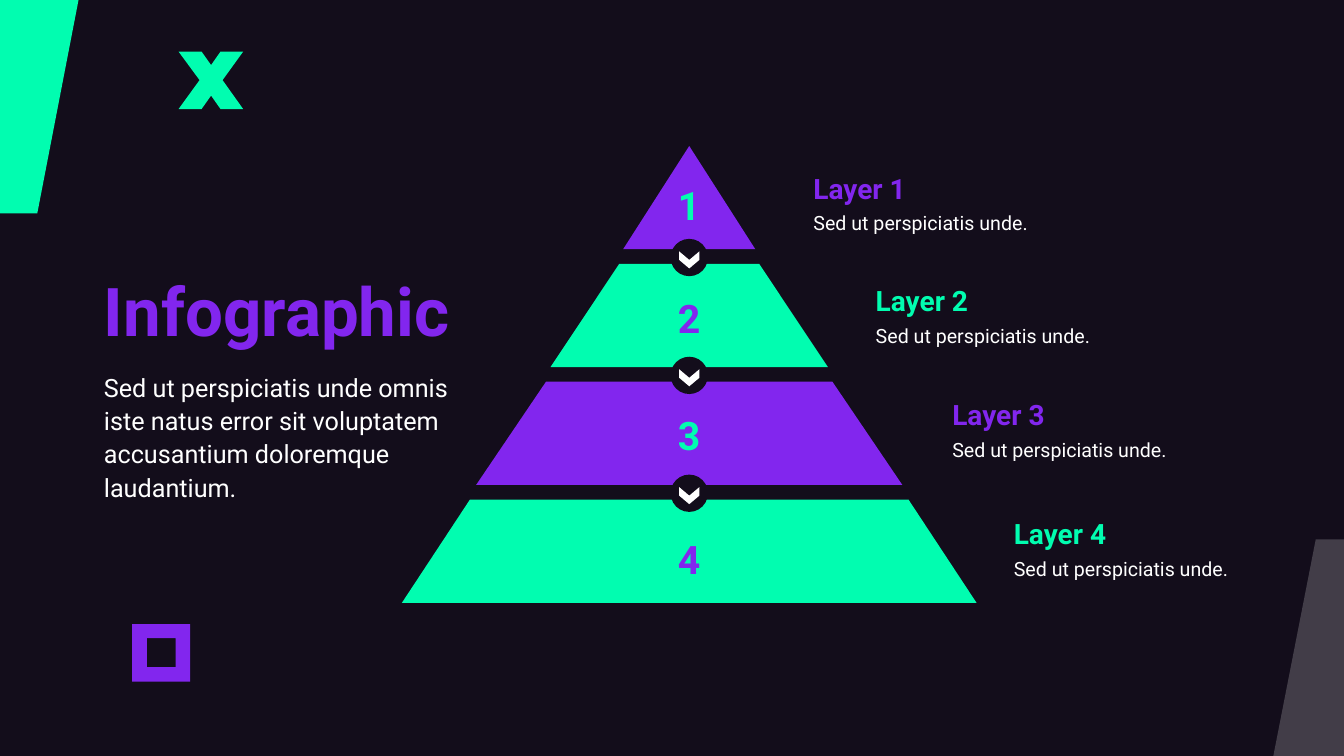
from typing import NamedTuple

from lxml.etree import SubElement
from pptx import Presentation
from pptx.dml.color import RGBColor
from pptx.enum.shapes import MSO_SHAPE as Kind
from pptx.enum.text import MSO_ANCHOR as Anchor, PP_ALIGN as Align
from pptx.oxml.ns import qn
from pptx.util import Cm, Pt

DARK, WHITE = "130D1B", "FFFFFF"
GREEN, PURPLE = "01FDB0", "8226EE"
FONT = "Roboto"

# Pyramid measures in centimetres
AXIS, TOP, STEP, TALL = 17.37, 3.68, 2.97, 2.6
BADGE, BADGE_Y = 0.94, 6.49
RIGHT = 32.39
NOTE = "Sed ut perspiciatis unde."

Point = tuple[float, float]


class Tier(NamedTuple):
    fill: str
    ink: str
    width: float
    slant: float | None  # None marks the tip
    num_y: float
    num_h: float
    left: float
    top: float


class Decor(NamedTuple):
    fill: str
    paths: list[list[Point]]
    alpha: int = 100


TIERS = [
    Tier(PURPLE, GREEN, 3.33, None, 5.17, 2.16, 20.5, 3.71),
    Tier(GREEN, PURPLE, 6.99, 0.666, 8.0, 1.98, 22.07, 6.55),
    Tier(PURPLE, GREEN, 10.74, 0.677, 10.95, 1.98, 24.0, 9.42),
    Tier(GREEN, PURPLE, 14.48, 0.659, 14.07, 1.98, 25.55, 12.42),
]

DECOR = [
    # Top left corner
    Decor(GREEN, [[(0, 0), (1.98, 0), (0.94, 5.38), (0, 5.38)]]),
    # Hollow square
    Decor(PURPLE, [
        [(3.7, 16.08), (3.7, 16.81), (4.43, 16.81), (4.43, 16.08)],
        [(3.33, 15.73), (4.79, 15.73), (4.79, 17.18), (3.33, 17.18)],
    ]),
    # Cross
    Decor(GREEN, [[
        (4.5, 1.3), (5.08, 1.3), (5.32, 1.64), (5.56, 1.3), (6.13, 1.3),
        (5.61, 2.02), (6.13, 2.75), (5.56, 2.75), (5.32, 2.41),
        (5.08, 2.75), (4.5, 2.75), (5.03, 2.02),
    ]]),
    # Bottom right corner
    Decor(WHITE, [[(33.16, 13.59), (33.87, 13.59), (33.87, 19.05),
                   (32.09, 19.05)]], 20),
]


def color(code: str) -> RGBColor:
    return RGBColor.from_string(code)


def paint(shape, fill: str, alpha: int = 100) -> None:
    shape.shadow.inherit = False
    shape.line.fill.background()
    shape.fill.solid()
    shape.fill.fore_color.rgb = color(fill)
    if alpha < 100:
        tint = shape.fill._xPr.find(f".//{qn('a:srgbClr')}")
        SubElement(tint, qn("a:alpha")).set("val", str(alpha * 1000))


def add_decor(slide, item: Decor) -> None:
    paths = [[(Cm(x), Cm(y)) for x, y in path] for path in item.paths]
    first, *rest = paths
    pen = slide.shapes.build_freeform(*first[0])
    pen.add_line_segments(first[1:])
    for path in rest:
        pen.move_to(*path[0])
        pen.add_line_segments(path[1:])
    paint(pen.convert_to_shape(), item.fill, item.alpha)


def add_mid(shapes, kind: Kind, mid_y: float, width: float, height: float,
            fill: str, turn: int = 0):
    """Add a shape centred on the pyramid's axis."""
    shape = shapes.add_shape(kind, Cm(AXIS - width / 2),
                             Cm(mid_y - height / 2), Cm(width), Cm(height))
    shape.rotation = turn
    paint(shape, fill)
    return shape


def add_text(slide, text: str, left: float, top: float, width: float,
             height: float, *, size: int, ink: str = WHITE,
             bold: bool = False, align: Align = Align.LEFT,
             anchor: Anchor = Anchor.TOP, space: float = 1.0) -> None:
    box = slide.shapes.add_textbox(Cm(left), Cm(top), Cm(width), Cm(height))
    frame = box.text_frame
    frame.word_wrap = True
    frame.vertical_anchor = anchor
    frame.margin_left = frame.margin_right = 0
    frame.margin_top = frame.margin_bottom = 0
    para = frame.paragraphs[0]
    para.alignment = align
    para.line_spacing = space
    run = para.add_run()
    run.text = text
    font = run.font
    font.name, font.size, font.bold = FONT, Pt(size), bold
    font.color.rgb = color(ink)


def add_tier(slide, row: int, tier: Tier) -> None:
    kind = Kind.ISOSCELES_TRIANGLE if tier.slant is None else Kind.TRAPEZOID
    shape = add_mid(slide.shapes, kind, TOP + row * STEP + TALL / 2,
                    tier.width, TALL, tier.fill)
    if tier.slant is not None:
        shape.adjustments[0] = tier.slant
    add_text(slide, str(row + 1), AXIS - 0.55, tier.num_y - tier.num_h / 2,
             1.1, tier.num_h, size=28, ink=tier.ink, bold=True,
             align=Align.CENTER, anchor=Anchor.MIDDLE)


def add_badge(slide, mid_y: float) -> None:
    shapes = slide.shapes.add_group_shape().shapes
    add_mid(shapes, Kind.OVAL, mid_y, BADGE, BADGE, DARK, 90)
    add_mid(shapes, Kind.CHEVRON, mid_y + 0.06, 0.43, 0.51, WHITE, 90)


def add_label(slide, row: int, tier: Tier) -> None:
    width = RIGHT - tier.left
    add_text(slide, f"Layer {row + 1}", tier.left, tier.top, width, 1.45,
             size=20, ink=tier.fill, bold=True, anchor=Anchor.BOTTOM,
             space=1.1)
    add_text(slide, NOTE, tier.left, tier.top + 1.55, width, 1.47,
             size=14, space=1.1)


def main() -> None:
    deck = Presentation()
    deck.slide_width, deck.slide_height = Cm(33.87), Cm(19.05)
    slide = deck.slides.add_slide(deck.slide_layouts[6])
    slide.background.fill.solid()
    slide.background.fill.fore_color.rgb = color(DARK)

    for item in DECOR:
        add_decor(slide, item)

    # Pyramid
    for row, tier in enumerate(TIERS):
        add_tier(slide, row, tier)
    for row in range(len(TIERS) - 1):
        add_badge(slide, BADGE_Y + row * STEP)

    # Title and intro
    add_text(slide, "Infographic", 2.62, 3.71, 10.13, 5.13, size=48,
             ink=PURPLE, bold=True, anchor=Anchor.BOTTOM, space=0.9)
    add_text(slide, "Sed ut perspiciatis unde omnis iste natus error sit "
             "voluptatem accusantium doloremque laudantium.",
             2.62, 9.3, 8.89, 3.5, size=18, space=1.1)

    # Layer labels
    for row, tier in enumerate(TIERS):
        add_label(slide, row, tier)

    deck.save("out.pptx")


if __name__ == "__main__":
    main()
